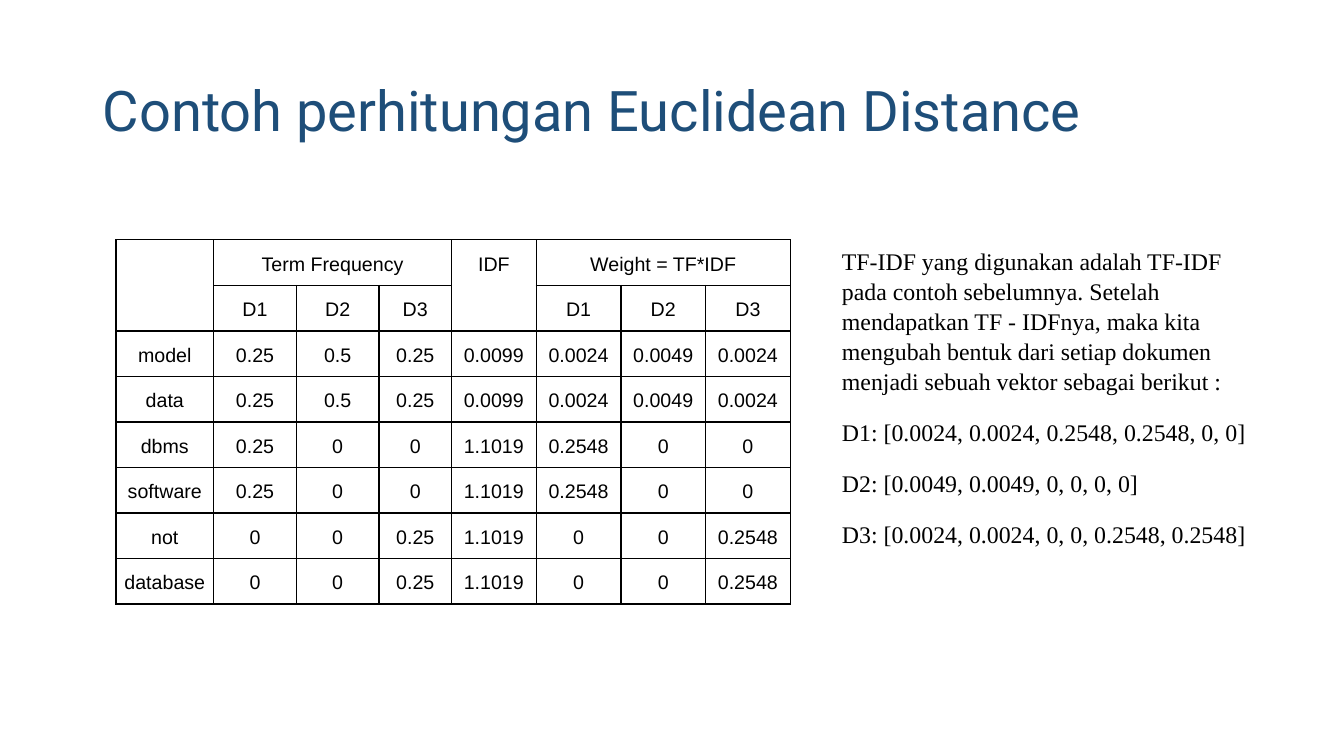
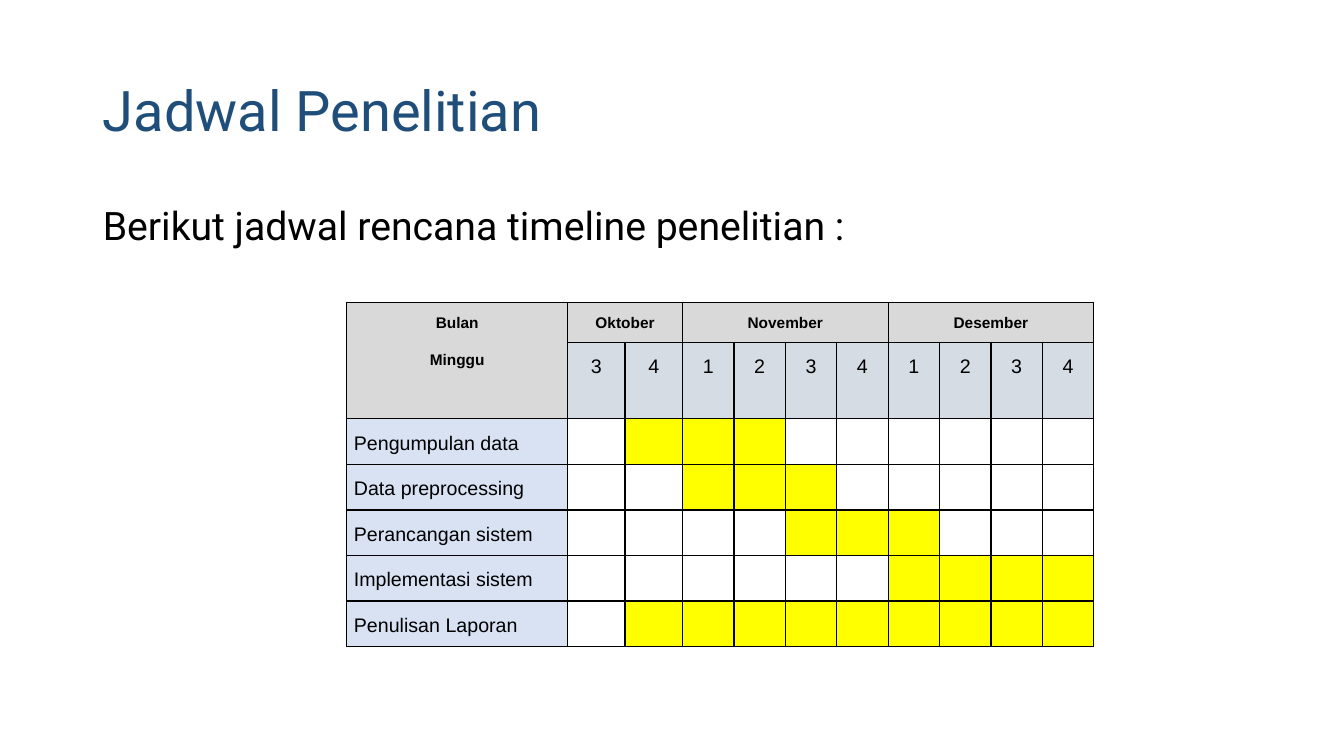
from lxml import etree
from pptx import Presentation
from pptx.dml.color import RGBColor
from pptx.enum.text import MSO_ANCHOR, MSO_AUTO_SIZE, PP_ALIGN
from pptx.oxml.ns import qn
from pptx.util import Inches, Pt

LEFT, CENTER = PP_ALIGN.LEFT, PP_ALIGN.CENTER
TOP, MIDDLE = MSO_ANCHOR.TOP, MSO_ANCHOR.MIDDLE
NO_FIT = MSO_AUTO_SIZE.NONE

NAVY, BLACK, WHITE = "1E4E79", "000000", "FFFFFF"
GREY, SLATE, PALE, YELLOW = "D9D9D9", "D5DCE4", "D9E2F3", "FFFF00"
SANS, TABLE_FONT, SERIF = "Roboto", "Arial", "Times New Roman"
TITLE_BOX = (0.92, 0.4, 11.5, 1.45)


def rgb(value):
    return RGBColor.from_string(value)


def style(p, size, font, color=BLACK, bold=False, align=LEFT, spacing=1.0, before=0):
    """Format a paragraph and its runs."""
    p.alignment, p.line_spacing, p.space_before = align, spacing, Pt(before)
    for r in p.runs:
        r.font.size, r.font.name, r.font.bold = Pt(size), font, bold
        r.font.color.rgb = rgb(color)


def place(sp, box, anchor):
    """Move a text placeholder and return its text frame."""
    sp.left, sp.top, sp.width, sp.height = (Inches(v) for v in box)
    tf = sp.text_frame
    tf.word_wrap, tf.auto_size, tf.vertical_anchor = True, NO_FIT, anchor
    return tf


def add_titled_slide(prs, title):
    s = prs.slides.add_slide(prs.slide_layouts[1])
    tf = place(s.shapes.title, TITLE_BOX, MIDDLE)
    tf.text = title
    style(tf.paragraphs[0], 40, SANS, NAVY, spacing=0.9)
    return s


def fill_body(s, box, lines):
    """Write the body as unbulleted paragraphs: (text, style options)."""
    tf = place(s.placeholders[1], box, TOP)
    tf.text = "\n".join(text for text, _ in lines)
    for p, (_, options) in zip(tf.paragraphs, lines):
        style(p, **options)
        pPr = p._p.get_or_add_pPr()
        pPr.set("marL", "0")
        pPr.set("indent", "0")
        etree.SubElement(pPr, qn("a:buNone"))


def set_borders(cell):
    tcPr = cell._tc.get_or_add_tcPr()
    for i, side in enumerate(("lnL", "lnR", "lnT", "lnB")):
        ln = etree.Element(qn(f"a:{side}"), w=str(Pt(1)))
        fill = etree.SubElement(ln, qn("a:solidFill"))
        etree.SubElement(fill, qn("a:srgbClr"), val=BLACK)
        tcPr.insert(i, ln)


def add_grid(s, left, top, widths, heights):
    """Add a bordered white table."""
    frame = s.shapes.add_table(len(heights), len(widths), Inches(left), Inches(top),
                               Inches(sum(widths)), Inches(sum(heights)))
    table = frame.table
    table.first_row = table.horz_banding = False
    for column, width in zip(table.columns, widths):
        column.width = Inches(width)
    for row, height in zip(table.rows, heights):
        row.height = Inches(height)
    for cell in table.iter_cells():
        cell.margin_left = cell.margin_right = Inches(0.07)
        paint(cell, WHITE)
        set_borders(cell)
    return table


def paint(cell, color):
    cell.fill.solid()
    cell.fill.fore_color.rgb = rgb(color)


def write(cell, text, size=14, bold=False, align=CENTER):
    cell.margin_top = cell.margin_bottom = Inches(0.1)
    cell.text = text
    for i, p in enumerate(cell.text_frame.paragraphs):
        style(p, size, TABLE_FONT, bold=bold, align=align, spacing=1.15,
              before=12 if i else 0)


def add_weight_table(s, left, top):
    documents = ["D1", "D2", "D3"]
    rows = [
        ["", "Term Frequency", "", "", "IDF", "Weight = TF*IDF", "", ""],
        ["", *documents, "", *documents],
        ["model", "0.25", "0.5", "0.25", "0.0099", "0.0024", "0.0049", "0.0024"],
        ["data", "0.25", "0.5", "0.25", "0.0099", "0.0024", "0.0049", "0.0024"],
        ["dbms", "0.25", "0", "0", "1.1019", "0.2548", "0", "0"],
        ["software", "0.25", "0", "0", "1.1019", "0.2548", "0", "0"],
        ["not", "0", "0", "0.25", "1.1019", "0", "0", "0.2548"],
        ["database", "0", "0", "0.25", "1.1019", "0", "0", "0.2548"],
    ]
    widths = [0.97, 0.82, 0.82, 0.72] + [0.84] * 4
    table = add_grid(s, left, top, widths, [0.45] * len(rows))
    for r, row in enumerate(rows):
        for c, text in enumerate(row):
            if text:
                write(table.cell(r, c), text)
    # Spanning headings
    for c in (0, 4):
        table.cell(0, c).merge(table.cell(1, c))
    for c in (1, 5):
        table.cell(0, c).merge(table.cell(0, c + 2))


def add_schedule(s, left, top):
    months = [("Oktober", [3, 4]), ("November", [1, 2, 3, 4]), ("Desember", [1, 2, 3, 4])]
    # Task, first and last active column
    tasks = [("Pengumpulan data", 2, 4), ("Data preprocessing", 3, 5),
             ("Perancangan sistem", 5, 7), ("Implementasi sistem", 7, 10),
             ("Penulisan Laporan", 2, 10)]
    widths = [2.19] + [0.57] * 2 + [0.51] * 8
    table = add_grid(s, left, top, widths, [0.39, 0.76] + [0.45] * len(tasks))

    # Months and weeks
    corner = table.cell(0, 0)
    write(corner, "Bulan\nMinggu", 11, True)
    paint(corner, GREY)
    corner.merge(table.cell(1, 0))
    c = 1
    for month, weeks in months:
        heading = table.cell(0, c)
        write(heading, month, 11, True)
        paint(heading, GREY)
        heading.merge(table.cell(0, c + len(weeks) - 1))
        for week in weeks:
            write(table.cell(1, c), str(week))
            paint(table.cell(1, c), SLATE)
            c += 1

    # Tasks and their active weeks
    for r, (task, first, last) in enumerate(tasks, 2):
        write(table.cell(r, 0), task, align=LEFT)
        paint(table.cell(r, 0), PALE)
        for c in range(first, last + 1):
            paint(table.cell(r, c), YELLOW)


def distance_slide(prs):
    s = add_titled_slide(prs, "Contoh perhitungan Euclidean Distance")
    intro = ("TF-IDF yang digunakan adalah TF-IDF pada contoh sebelumnya. Setelah "
             "mendapatkan TF - IDFnya, maka kita mengubah bentuk dari setiap dokumen "
             "menjadi sebuah vektor sebagai berikut :")
    vectors = ["D1: [0.0024, 0.0024, 0.2548, 0.2548, 0, 0]",
               "D2: [0.0049, 0.0049, 0, 0, 0, 0]",
               "D3: [0.0024, 0.0024, 0, 0, 0.2548, 0.2548]"]
    base = {"size": 17, "font": SERIF}
    lines = [(intro, {**base, "spacing": 1.05})]
    lines += [(v, {**base, "spacing": 1.2, "before": 12}) for v in vectors]
    fill_body(s, (8.25, 2.38, 4.33, 4.76), lines)
    add_weight_table(s, 1.15, 2.38)


def schedule_slide(prs):
    s = add_titled_slide(prs, "Jadwal Penelitian")
    fill_body(s, (0.92, 2, 11.5, 4.76),
              [("Berikut jadwal rencana timeline penelitian :",
                {"size": 28, "font": SANS, "spacing": 0.9})])
    add_schedule(s, 3.44, 3)


def main():
    prs = Presentation()
    prs.slide_width, prs.slide_height = Inches(13.33), Inches(7.5)
    distance_slide(prs)
    schedule_slide(prs)
    prs.save("out.pptx")


if __name__ == "__main__":
    main()
